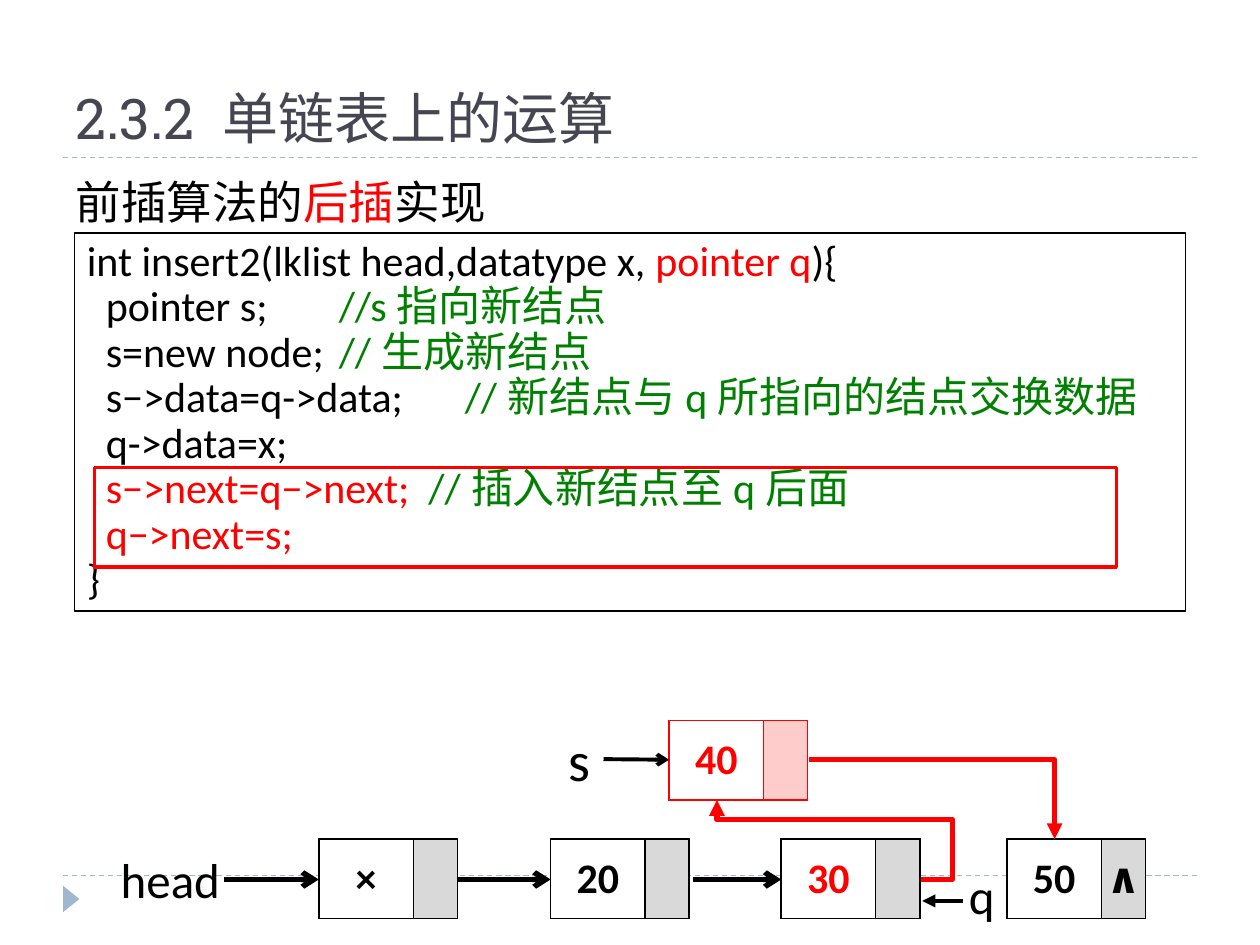
from dataclasses import dataclass

import pptx
import pptx.util
from lxml import etree
from pptx.dml.color import RGBColor
from pptx.enum.dml import MSO_LINE
from pptx.enum.shapes import MSO_CONNECTOR, MSO_SHAPE
from pptx.enum.text import MSO_ANCHOR, MSO_AUTO_SIZE, PP_ALIGN
from pptx.oxml.ns import qn

Inches, Pt = pptx.util.Inches, pptx.util.Pt

COLORS = {
    "black": "000000", "red": "FF0000", "green": "008000", "white": "FFFFFF",
    "title": "464653", "accent": "9FB8CD", "pink": "FFCCCC", "gray": "D9D9D9",
}
FONT, TITLE_FONT = "Calibri", "Roboto Slab"
CELL_WIDTHS, NODE_HEIGHT = (0.75, 0.35), 0.63
LIST_TOP, LIST_MID = 6.66, 6.98


@dataclass
class Node:
    left: float
    top: float
    value: str
    color: str = "black"
    border: str = "black"
    link_fill: str = "gray"
    link: str = ""


@dataclass
class Label:
    text: str
    box: tuple
    size: int


@dataclass
class Link:
    start: tuple
    end: tuple
    width: float = 3
    color: str = "black"
    head: str = ""
    tail: str = ""
    bend: str = ""
    adjust: tuple = ()


NODES = [
    Node(5.31, 5.72, "40", "red", "red", "pink"),
    Node(2.53, LIST_TOP, "×"),
    Node(4.37, LIST_TOP, "20"),
    Node(6.2, LIST_TOP, "30", "red"),
    Node(7.99, LIST_TOP, "50", link="∧"),
]
S_LABEL = Label("s", (4.41, 5.71, 0.38, 0.63), 32)
LABELS = [
    Label("head", (0.86, 6.69, 0.99, 0.57), 28),
    Label("q", (7.59, 6.82, 0.41, 0.57), 28),
]
S_LINK = Link((4.79, 6.03), (5.31, 6.03), 2.25, tail="arrow")
LINKS = [
    Link((1.78, LIST_MID), (2.53, LIST_MID), tail="arrow"),
    Link((3.63, LIST_MID), (4.37, LIST_MID), tail="arrow"),
    Link((5.5, LIST_MID), (6.2, LIST_MID), tail="arrow"),
    Link((7.32, 7.15), (7.64, 7.15), 2.5, head="triangle"),
    Link((6.42, 6.03), (8.37, 6.66), color="red", tail="triangle",
         bend="bentConnector2"),
    Link((7.31, LIST_MID), (5.69, 6.35), color="red", tail="triangle",
         bend="bentConnector4", adjust=(-15400, 75200)),
]
HEADING = [("前插算法的", "black"), ("后插", "red"), ("实现", "black")]
CODE = [
    [("int insert2(lklist head,datatype x, ", "black"), ("pointer q", "red"), ("){", "black")],
    [("  pointer s;\t\t", "black"), ("//s指向新结点", "green")],
    [("  s=new node;\t", "black"), ("//生成新结点", "green")],
    [("  s−>data=q->data;\t", "black"), ("//新结点与q所指向的结点交换数据", "green")],
    [("  q->data=x;", "black")],
    [("  s−>next=q−>next;  ", "red"), ("//插入新结点至q后面", "green")],
    [("  q−>next=s;", "red")],
    [("}", "black")],
]


def rgb(name: str) -> RGBColor:
    return RGBColor.from_string(COLORS[name])


def place(sp, box: tuple) -> None:
    sp.left, sp.top, sp.width, sp.height = map(Inches, box)


def style(r, size: float, color: str, font: str = FONT, bold: bool = False) -> None:
    r.font.size, r.font.name, r.font.bold = Pt(size), font, bold
    r.font.color.rgb = rgb(color)


def add_runs(p, parts: list, size: float) -> None:
    for text, color in parts:
        r = p.add_run()
        r.text = text
        style(r, size, color)


def set_line(line, color: str, width: float) -> None:
    line.color.rgb = rgb(color)
    line.width = Pt(width)


def add_link(s, link: Link):
    kind = MSO_CONNECTOR.ELBOW if link.bend else MSO_CONNECTOR.STRAIGHT
    c = s.shapes.add_connector(kind, *map(Inches, link.start + link.end))
    set_line(c.line, link.color, link.width)
    ln = c.line._get_or_add_ln()
    for tag, arrow in (("a:headEnd", link.head), ("a:tailEnd", link.tail)):
        if arrow:
            etree.SubElement(ln, qn(tag), type=arrow)
    props = c._element.spPr
    etree.SubElement(props, qn("a:effectLst"))
    if link.bend:
        geom = props.find(qn("a:prstGeom"))
        geom.set("prst", link.bend)
        guides = geom.find(qn("a:avLst"))
        for i, value in enumerate(link.adjust, 1):
            etree.SubElement(guides, qn("a:gd"), name=f"adj{i}", fmla=f"val {value}")
    return c


def add_label(s, label: Label):
    sp = s.shapes.add_textbox(*map(Inches, label.box))
    tf = sp.text_frame
    tf.text = label.text
    tf.word_wrap = False
    style(tf.paragraphs[0].runs[0], label.size, "black")
    return sp


def set_borders(cell, color: str) -> None:
    props = cell._tc.get_or_add_tcPr()
    for i, side in enumerate("LRTB"):
        ln = etree.Element(qn(f"a:ln{side}"), w=str(Pt(1)))
        fill = etree.SubElement(ln, qn("a:solidFill"))
        etree.SubElement(fill, qn("a:srgbClr"), val=COLORS[color])
        props.insert(i, ln)


def add_node(s, node: Node) -> None:
    """Draw a list node: a data cell and a link cell."""
    frame = s.shapes.add_table(1, 2, Inches(node.left), Inches(node.top),
                               Inches(sum(CELL_WIDTHS)), Inches(NODE_HEIGHT))
    table = frame.table
    table.first_row = table.horz_banding = False
    cells = ((node.value, "white"), (node.link, node.link_fill))
    for i, (text, fill) in enumerate(cells):
        table.columns[i].width = Inches(CELL_WIDTHS[i])
        cell = table.cell(0, i)
        cell.margin_left = cell.margin_right = cell.margin_top = cell.margin_bottom = 0
        cell.vertical_anchor = MSO_ANCHOR.MIDDLE
        cell.fill.solid()
        cell.fill.fore_color.rgb = rgb(fill)
        set_borders(cell, node.border)
        cell.text = text
        p = cell.text_frame.paragraphs[0]
        p.alignment = PP_ALIGN.CENTER
        for r in p.runs:
            style(r, 24, node.color, bold=True)


def add_decoration(s) -> None:
    for y in (6.95, 1.25):
        rule = add_link(s, Link((0.5, y), (9.5, y), 0.75, "accent"))
        rule.line.dash_style = MSO_LINE.DASH
    sp = s.shapes.add_shape(MSO_SHAPE.ISOSCELES_TRIANGLE,
                            *map(Inches, (0.46, 7.07, 0.21, 0.13)))
    sp.rotation = 90
    sp.shadow.inherit = False
    sp.fill.solid()
    sp.fill.fore_color.rgb = rgb("accent")
    sp.line.fill.background()


def fill_placeholders(s) -> None:
    title, body = s.shapes.title, s.placeholders[1]
    place(title, (0.5, 0.17, 9, 1.08))
    tf = title.text_frame
    tf.text = "2.3.2 单链表上的运算"
    tf.vertical_anchor = MSO_ANCHOR.BOTTOM
    tf.paragraphs[0].alignment = PP_ALIGN.LEFT
    style(tf.paragraphs[0].runs[0], 32, "title", TITLE_FONT)

    place(body, (0.5, 1.33, 9, 5.37))
    p = body.text_frame.paragraphs[0]
    p.space_before = Pt(6)
    add_runs(p, HEADING, 26)
    props = p._p.get_or_add_pPr()
    props.set("marL", str(Inches(0.3)))
    props.set("indent", str(Inches(-0.3)))
    etree.SubElement(props, qn("a:buNone"))
    for tf in (title.text_frame, body.text_frame):
        tf.auto_size = MSO_AUTO_SIZE.NONE


def add_code(s) -> None:
    sp = s.shapes.add_textbox(*map(Inches, (0.59, 1.85, 8.82, 3)))
    set_line(sp.line, "black", 0.75)
    tf = sp.text_frame
    tf.word_wrap = True
    for i, parts in enumerate(CODE):
        p = tf.add_paragraph() if i else tf.paragraphs[0]
        p.line_spacing = Pt(26)
        add_runs(p, parts, 24)


def add_highlight(s) -> None:
    sp = s.shapes.add_shape(MSO_SHAPE.RECTANGLE, *map(Inches, (0.75, 3.71, 8.11, 0.79)))
    sp.shadow.inherit = False
    sp.fill.background()
    set_line(sp.line, "red", 2)


def main() -> None:
    prs = pptx.Presentation()
    prs.slide_width, prs.slide_height = Inches(10), Inches(7.5)
    s = prs.slides.add_slide(prs.slide_layouts[1])
    add_decoration(s)
    fill_placeholders(s)
    add_code(s)
    for node in NODES:
        add_node(s, node)
    s_label = add_label(s, S_LABEL)
    add_link(s, S_LINK).begin_connect(s_label, 3)
    for label in LABELS:
        add_label(s, label)
    for link in LINKS:
        add_link(s, link)
    add_highlight(s)
    prs.save("out.pptx")


if __name__ == "__main__":
    main()
